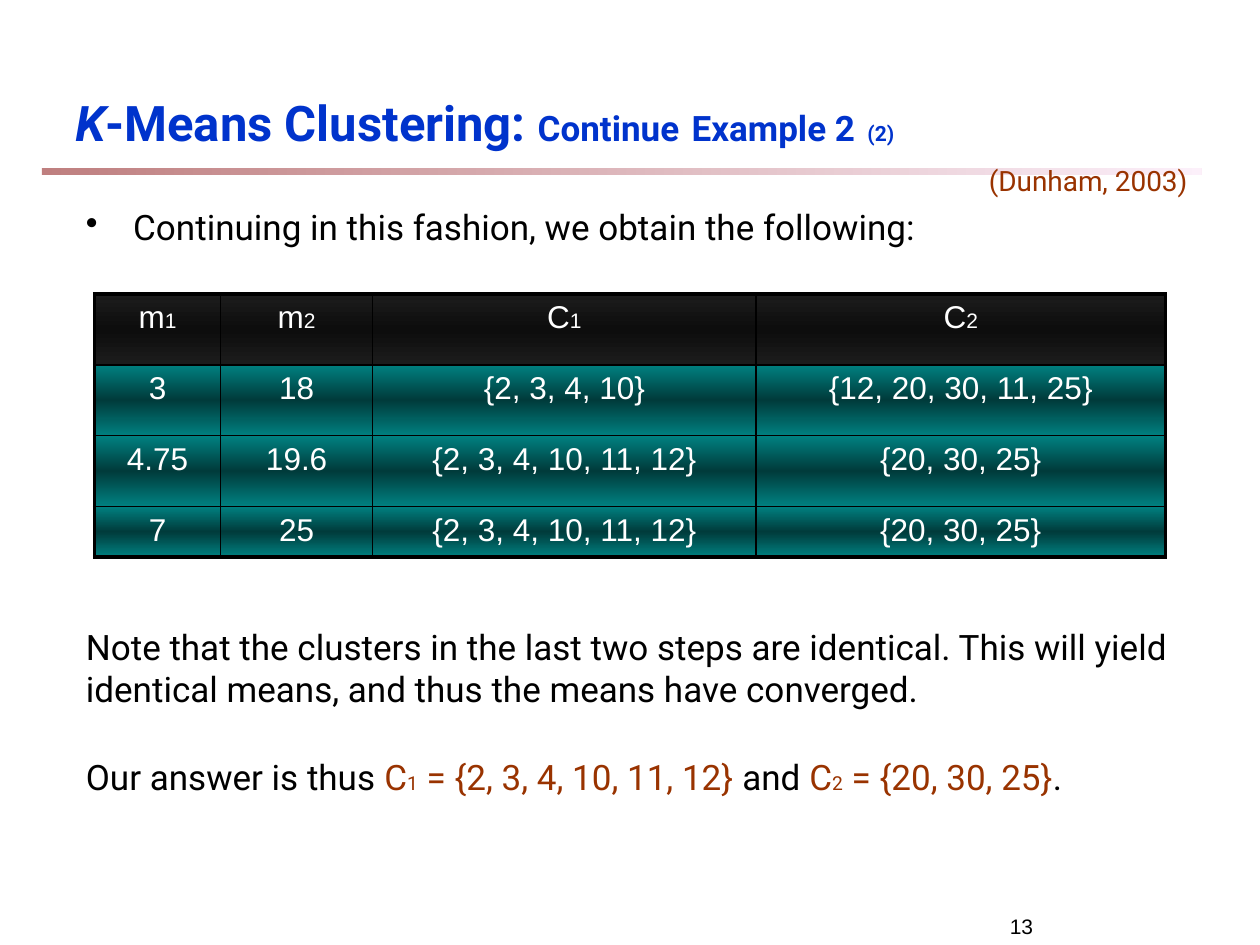
from lxml.etree import SubElement
from pptx import Presentation
from pptx.dml.color import RGBColor
from pptx.enum.shapes import MSO_SHAPE
from pptx.enum.text import MSO_ANCHOR, PP_ALIGN
from pptx.oxml.ns import qn
from pptx.util import Pt

BLACK = RGBColor(0x00, 0x00, 0x00)
WHITE = RGBColor(0xFF, 0xFF, 0xFF)
BLUE = RGBColor(0x00, 0x33, 0xCC)
BROWN = RGBColor(0x99, 0x33, 0x00)
MAROON = RGBColor(0x80, 0x00, 0x00)
PINK = RGBColor(0xFA, 0xE2, 0xF6)
CHARCOAL = RGBColor(0x1C, 0x1C, 0x1C)
CHARCOAL_DEEP = RGBColor(0x0D, 0x0D, 0x0D)
TEAL = RGBColor(0x00, 0x80, 0x80)
TEAL_DEEP = RGBColor(0x00, 0x3B, 0x3B)

TITLE = [("K", 28, BLUE), ("-Means Clustering: ", 28, BLUE), ("Continue", 20, BLUE),
         (" ", 28, BLUE), ("Example 2", 20, BLUE), (" ", 28, BLUE), ("(2)", 12, BLUE)]
INTRO = [("Continuing in this fashion, we obtain the following:", 20, BLACK)]
CITATION = [("(Dunham, 2003)", 16, BROWN)]
PAGE_NUMBER = [("13", 12, BLACK)]
NOTE = [("Note that the clusters in the last two steps are identical. "
         "This will yield identical means, and thus the means have converged.", 20, BLACK)]
ANSWER = [("Our answer is thus ", 20, BLACK),
          ("C", 20, BROWN), ("1", 11, BROWN), (" = {2, 3, 4, 10, 11, 12}", 20, BROWN),
          (" and ", 20, BLACK),
          ("C", 20, BROWN), ("2", 11, BROWN), (" = {20, 30, 25}", 20, BROWN),
          (".", 20, BLACK)]

HEADINGS = [("m", "1"), ("m", "2"), ("C", "1"), ("C", "2")]
STEPS = [
    ("3", "18", "{2, 3, 4, 10}", "{12, 20, 30, 11, 25}"),
    ("4.75", "19.6", "{2, 3, 4, 10, 11, 12}", "{20, 30, 25}"),
    ("7", "25", "{2, 3, 4, 10, 11, 12}", "{20, 30, 25}"),
]
COLUMN_WIDTHS = [72, 87, 219, 234]
ROW_HEIGHTS = [40.5, 40.5, 40.5, 28.5]


def add_runs(paragraph, runs, font_name="Roboto"):
    for text, size, color in runs:
        run = paragraph.add_run()
        run.text = text
        run.font.name = font_name
        run.font.size = Pt(size)
        run.font.color.rgb = color


def add_text(slide, box, *paragraphs, font_name="Roboto", anchor=MSO_ANCHOR.TOP):
    frame = slide.shapes.add_textbox(*map(Pt, box)).text_frame
    frame.word_wrap = True
    frame.vertical_anchor = anchor
    for index, runs in enumerate(paragraphs):
        paragraph = frame.add_paragraph() if index else frame.paragraphs[0]
        add_runs(paragraph, runs, font_name)
    return frame


def set_gradient(fill, colors, angle, opacity=100):
    fill.gradient()
    fill.gradient_angle = angle
    stops = fill.gradient_stops._gsLst
    for stop in list(stops):
        stops.remove(stop)
    for index, color in enumerate(colors):
        position = 100000 * index // (len(colors) - 1)
        stop = SubElement(stops, qn("a:gs"), pos=str(position))
        shade = SubElement(stop, qn("a:srgbClr"), val=str(color))
        if opacity < 100:
            SubElement(shade, qn("a:alpha"), val=str(opacity * 1000))


def set_borders(cell, outer_sides):
    properties = cell._tc.get_or_add_tcPr()
    for index, side in enumerate("LRTB"):
        width = Pt(2.25 if side in outer_sides else 1)
        line = properties.makeelement(qn(f"a:ln{side}"), {"w": str(width)})
        color_fill = SubElement(line, qn("a:solidFill"))
        SubElement(color_fill, qn("a:srgbClr"), val=str(BLACK))
        properties.insert(index, line)


def add_cluster_table(slide):
    rows = [[[(letter, 18, WHITE), (sub, 12, WHITE)] for letter, sub in HEADINGS]]
    rows += [[[(value, 18, WHITE)] for value in step] for step in STEPS]
    last_row, last_column = len(rows) - 1, len(HEADINGS) - 1
    table = slide.shapes.add_table(
        len(rows), len(HEADINGS), Pt(54), Pt(168),
        Pt(sum(COLUMN_WIDTHS)), Pt(sum(ROW_HEIGHTS))).table
    for column, width in zip(table.columns, COLUMN_WIDTHS):
        column.width = Pt(width)
    for r, cells in enumerate(rows):
        table.rows[r].height = Pt(ROW_HEIGHTS[r])
        edge, middle = (TEAL, TEAL_DEEP) if r else (CHARCOAL, CHARCOAL_DEEP)
        for c, runs in enumerate(cells):
            cell = table.cell(r, c)
            paragraph = cell.text_frame.paragraphs[0]
            paragraph.alignment = PP_ALIGN.CENTER
            add_runs(paragraph, runs, "Arial")
            set_gradient(cell.fill, [edge, middle, edge], 270)
            outer = {"L": c == 0, "R": c == last_column, "T": r == 0, "B": r == last_row}
            set_borders(cell, [side for side, is_outer in outer.items() if is_outer])


def main():
    deck = Presentation()
    deck.slide_width, deck.slide_height = Pt(720), Pt(540)
    slide = deck.slides.add_slide(deck.slide_layouts[6])

    rule = slide.shapes.add_shape(MSO_SHAPE.RECTANGLE, Pt(24), Pt(96), Pt(662.5), Pt(4))
    rule.shadow.inherit = False
    rule.line.fill.background()
    set_gradient(rule.fill, [MAROON, PINK], 0, opacity=50)

    add_text(slide, (570, 510, 150, 30), PAGE_NUMBER,
             font_name="Arial", anchor=MSO_ANCHOR.BOTTOM)

    title = add_text(slide, (36, 30, 666, 60), TITLE, anchor=MSO_ANCHOR.BOTTOM).paragraphs[0]
    for run in title.runs:
        run.font.bold = True
    title.runs[0].font.italic = True

    intro = add_text(slide, (42, 114, 636, 31), INTRO).paragraphs[0]
    bullet = intro._p.get_or_add_pPr()
    bullet.set("marL", str(Pt(27)))
    bullet.set("indent", str(Pt(-27)))
    SubElement(bullet, qn("a:buChar"), char="•")

    add_text(slide, (558, 90, 138, 26.5), CITATION)
    add_cluster_table(slide)

    conclusion = add_text(slide, (42, 354, 648, 108.5), NOTE, ANSWER)
    conclusion.paragraphs[1].space_before = Pt(26)

    deck.save("out.pptx")


if __name__ == "__main__":
    main()
